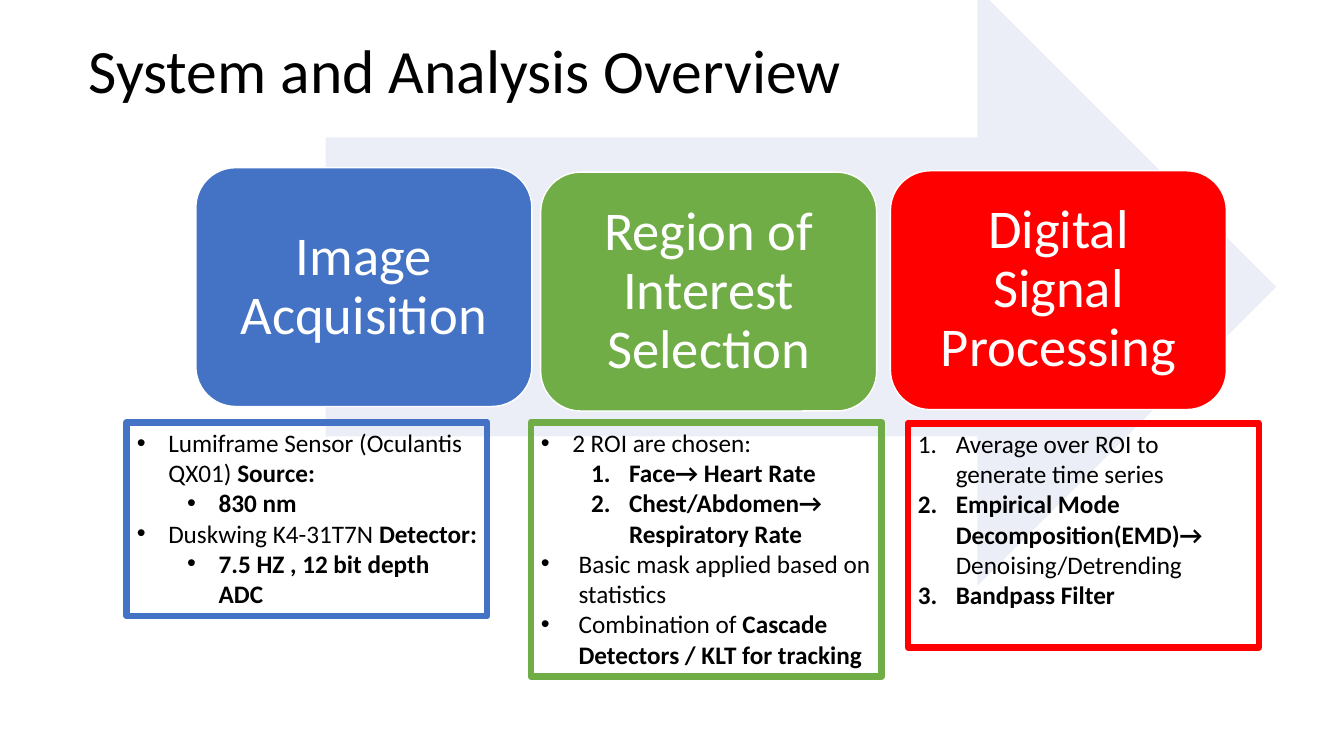
from lxml.etree import SubElement
from pptx import Presentation
from pptx.dml.color import RGBColor
from pptx.enum.shapes import MSO_SHAPE as Shape
from pptx.enum.text import MSO_ANCHOR as Anchor, PP_ALIGN as Align
from pptx.oxml.ns import qn
from pptx.util import Pt

BLACK = RGBColor(0x00, 0x00, 0x00)
WHITE = RGBColor(0xFF, 0xFF, 0xFF)
BLUE = RGBColor(0x44, 0x72, 0xC4)
GREEN = RGBColor(0x70, 0xAD, 0x47)
RED = RGBColor(0xFF, 0x00, 0x00)
PALE = RGBColor(0xCF, 0xD5, 0xEA)
FONT = "Calibri"
BULLET, NUMBER = "bullet", "number"
CARD_SIZE = (240, 170.6)

STAGES = [
    ("Image Acquisition", BLUE, (139.9, 119.8), (90.6, 301.6, 257.3, 138.5), [
        (0, 22.5, 22.5, BULLET, [("Lumiframe Sensor (Oculantis QX01) ", False), ("Source:", True)]),
        (1, 58.5, 22.5, BULLET, [("830 nm", True)]),
        (0, 22.5, 22.5, BULLET, [("Duskwing K4-31T7N ", False), ("Detector:", True)]),
        (1, 58.5, 22.5, BULLET, [("7.5 HZ , 12 bit depth ADC", True)]),
    ]),
    ("Region of Interest Selection", GREEN, (386.2, 123), (379.2, 301.6, 250.6, 181.7), [
        (0, 22.5, 22.5, BULLET, [("2 ROI are chosen:", False)]),
        (1, 63, 27, NUMBER, [("Face→ Heart Rate", True)]),
        (1, 63, 27, NUMBER, [("Chest/Abdomen→ Respiratory Rate", True)]),
        (0, 27, 27, BULLET, [("Basic mask applied based on statistics", False)]),
        (0, 27, 27, BULLET, [("Combination of ", False),
                             ("Cascade Detectors / KLT for tracking", True)]),
    ]),
    ("Digital Signal Processing", RED, (636, 122), (648.6, 302.4, 250.6, 160), [
        (0, 27, 27, NUMBER, [("Average over ROI to generate time series", False)]),
        (0, 27, 27, NUMBER, [("Empirical Mode Decomposition(EMD)→ ", True),
                             ("Denoising/Detrending", False)]),
        (0, 27, 27, NUMBER, [("Bandpass Filter", True)]),
    ]),
]


def add_span(para, text, size, color, bold=False):
    """Append one styled run to a paragraph."""
    span = para.add_run()
    span.text = text
    span.font.name = FONT
    span.font.size = Pt(size)
    span.font.bold = bold
    span.font.color.rgb = color


def add_plain_shape(page, kind, box):
    """Add a preset shape without a shadow in the given box."""
    shape = page.shapes.add_shape(kind, *map(Pt, box))
    shape.shadow.inherit = False
    return shape


def add_title(page, box, text):
    """Place the slide title, centred vertically in its box."""
    frame = page.shapes.add_textbox(*map(Pt, box)).text_frame
    frame.word_wrap = True
    frame.vertical_anchor = Anchor.MIDDLE
    para = frame.paragraphs[0]
    para.line_spacing = 0.9
    add_span(para, text, 44, BLACK)


def add_backdrop(page, box):
    """Place the translucent arrow behind the stages."""
    arrow = add_plain_shape(page, Shape.RIGHT_ARROW, box)
    arrow.fill.solid()
    arrow.fill.fore_color.rgb = PALE
    arrow.line.fill.background()
    color = arrow.fill._xPr.find(".//" + qn("a:srgbClr"))
    SubElement(color, qn("a:alpha"), val="40000")


def add_card(page, box, text, color):
    """Place a rounded card with the name of a stage."""
    card = add_plain_shape(page, Shape.ROUNDED_RECTANGLE, box)
    card.fill.solid()
    card.fill.fore_color.rgb = color
    card.line.color.rgb = WHITE
    card.line.width = Pt(1)
    frame = card.text_frame
    frame.word_wrap = True
    frame.vertical_anchor = Anchor.MIDDLE
    frame.margin_left = frame.margin_right = Pt(11.5)
    frame.margin_top = frame.margin_bottom = Pt(11.5)
    para = frame.paragraphs[0]
    para.alignment = Align.CENTER
    para.line_spacing = 0.9
    add_span(para, text, 39, WHITE)


def set_marker(para, level, left, hang, marker):
    """Give a paragraph its indent and its bullet or number."""
    para.level = level
    props = para._p.get_or_add_pPr()
    props.set("marL", str(Pt(left)))
    props.set("indent", str(-Pt(hang)))
    if marker == NUMBER:
        SubElement(props, qn("a:buFont"), typeface="+mj-lt")
        SubElement(props, qn("a:buAutoNum"), type="arabicPeriod")
    else:
        SubElement(props, qn("a:buFont"), typeface="Arial")
        SubElement(props, qn("a:buChar"), char="•")


def add_details(page, box, color, items):
    """Place an outlined box with the list of a stage."""
    panel = add_plain_shape(page, Shape.RECTANGLE, box)
    panel.fill.background()
    panel.line.color.rgb = color
    panel.line.width = Pt(4.75)
    frame = panel.text_frame
    frame.word_wrap = True
    frame.vertical_anchor = Anchor.TOP
    for index, (level, left, hang, marker, spans) in enumerate(items):
        para = frame.add_paragraph() if index else frame.paragraphs[0]
        para.alignment = Align.LEFT
        set_marker(para, level, left, hang, marker)
        for text, bold in spans:
            add_span(para, text, 18, BLACK, bold)


def main():
    """Build the overview slide and save it."""
    deck = Presentation()
    deck.slide_width, deck.slide_height = Pt(960), Pt(540)
    page = deck.slides.add_slide(deck.slide_layouts[6])
    add_title(page, (56.2, 0, 828, 104.4), "System and Analysis Overview")
    add_backdrop(page, (232.6, -8.6, 679, 427))
    for name, color, corner, details_box, items in STAGES:
        add_card(page, corner + CARD_SIZE, name, color)
        add_details(page, details_box, color, items)
    deck.save("out.pptx")


if __name__ == "__main__":
    main()
